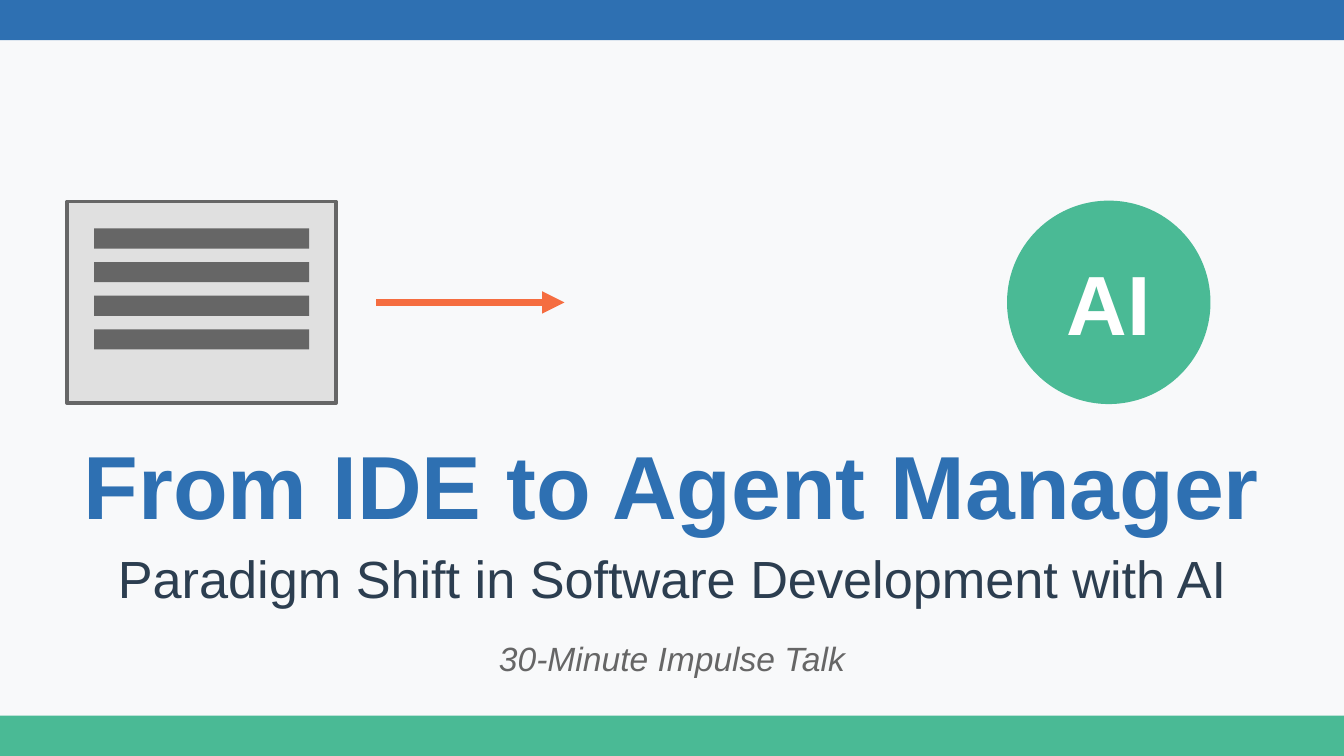
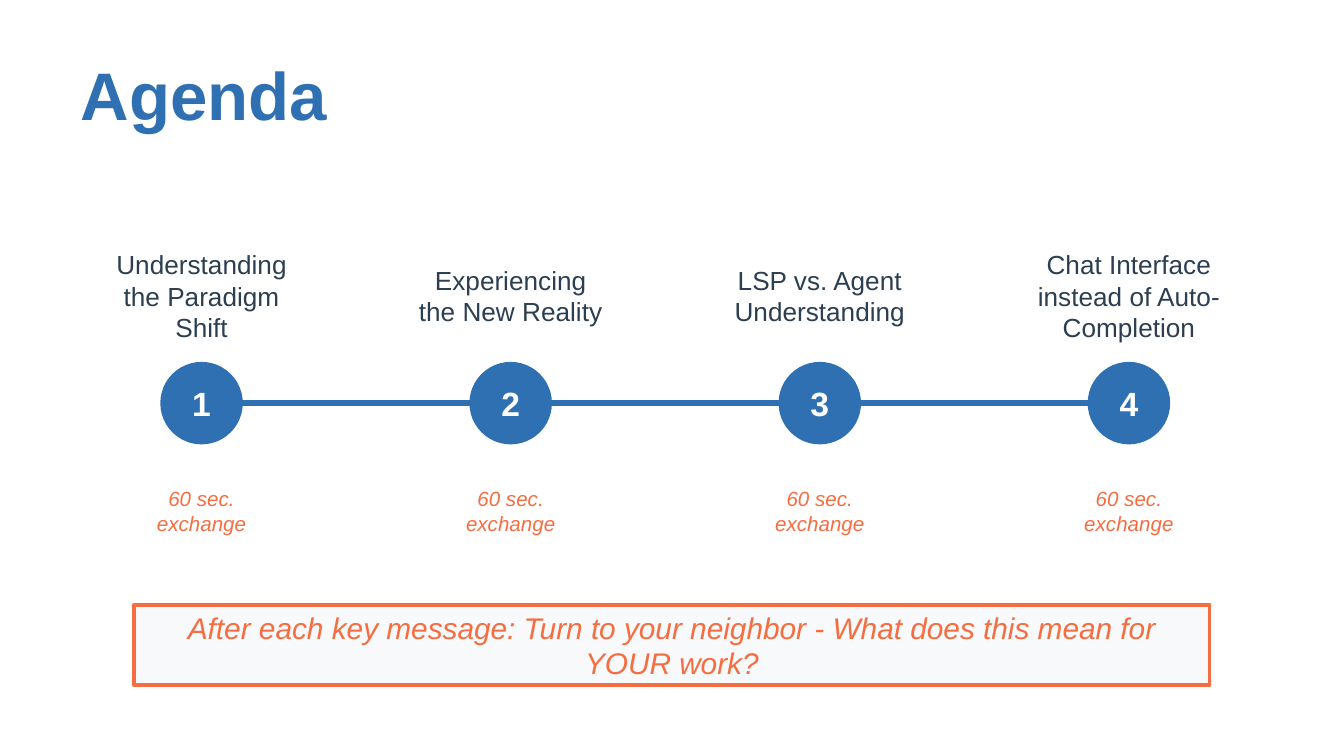
from lxml import etree
from pptx import Presentation
from pptx.dml.color import RGBColor
from pptx.enum.shapes import MSO_CONNECTOR, MSO_SHAPE
from pptx.enum.text import MSO_ANCHOR, MSO_AUTO_SIZE, PP_ALIGN
from pptx.oxml.ns import qn
from pptx.util import Inches, Pt

RECT, OVAL, STRAIGHT = MSO_SHAPE.RECTANGLE, MSO_SHAPE.OVAL, MSO_CONNECTOR.STRAIGHT
LEFT, CENTER, MIDDLE = PP_ALIGN.LEFT, PP_ALIGN.CENTER, MSO_ANCHOR.MIDDLE
NO_FIT = MSO_AUTO_SIZE.NONE

BLUE = RGBColor(0x2E, 0x70, 0xB2)
GREEN = RGBColor(0x4A, 0xBA, 0x95)
ORANGE = RGBColor(0xF5, 0x6D, 0x40)
NAVY = RGBColor(0x2C, 0x3E, 0x50)
GRAY = RGBColor(0x66, 0x66, 0x66)
SILVER = RGBColor(0xE0, 0xE0, 0xE0)
PALE = RGBColor(0xF8, 0xF9, 0xFA)
WHITE = RGBColor(0xFF, 0xFF, 0xFF)

FONT = "Arial"
WIDTH = 10
HEIGHT = WIDTH * 9 / 16
BAND = 0.3


def add_block(slide, kind, box, fill, line=None, line_width=1):
    block = slide.shapes.add_shape(kind, *map(Inches, box))
    block.shadow.inherit = False
    block.fill.solid()
    block.fill.fore_color.rgb = fill
    if line is None:
        block.line.fill.background()
    else:
        block.line.color.rgb = line
        block.line.width = Pt(line_width)
    return block


def write(holder, text, size, color, bold=False, italic=False, align=CENTER):
    frame = holder.text_frame
    frame.text = text
    frame.word_wrap = True
    frame.auto_size = NO_FIT
    frame.vertical_anchor = MIDDLE
    for paragraph in frame.paragraphs:
        paragraph.alignment = align
        for run in paragraph.runs:
            run.font.name = FONT
            run.font.size = Pt(size)
            run.font.color.rgb = color
            run.font.bold = bold
            run.font.italic = italic


deck = Presentation()
deck.slide_width = Inches(WIDTH)
deck.slide_height = Inches(HEIGHT)
title_only = deck.slide_layouts[5]
opening = deck.slides.add_slide(title_only)
agenda = deck.slides.add_slide(title_only)

for slide, background, text, top, size, align in (
    (opening, PALE, "From IDE to Agent Manager", 3.2, 48, CENTER),
    (agenda, WHITE, "Agenda", 0.3, 36, LEFT),
):
    slide.background.fill.solid()
    slide.background.fill.fore_color.rgb = background
    title = slide.shapes.title
    title.left, title.top = Inches(0.5), Inches(top)
    title.width, title.height = Inches(9), Inches(0.8)
    write(title, text, size, BLUE, bold=True, align=align)

for slide, start, end, y, color, weight, has_arrow in (
    (opening, 2.8, 4.2, 2.25, ORANGE, 4, True),
    (agenda, 1.5, 8.5, 3, BLUE, 3, False),
):
    path_line = slide.shapes.add_connector(
        STRAIGHT, Inches(start), Inches(y), Inches(end), Inches(y))
    path_line.line.color.rgb = color
    path_line.line.width = Pt(weight)
    if has_arrow:
        etree.SubElement(path_line.line._get_or_add_ln(), qn("a:tailEnd"), type="triangle")
    etree.SubElement(path_line._element.spPr, qn("a:effectLst"))

add_block(opening, RECT, (0, 0, WIDTH, BAND), BLUE)
add_block(opening, RECT, (0, HEIGHT - BAND, WIDTH, BAND), GREEN)

add_block(opening, RECT, (0.5, 1.5, 2, 1.5), SILVER, GRAY, 2)
for row in range(4):
    add_block(opening, RECT, (0.7, 1.7 + 0.25 * row, 1.6, 0.15), GRAY)

agent = add_block(opening, OVAL, (7.5, 1.5, 1.5, 1.5), GREEN, GREEN)
write(agent, "AI", 45, WHITE, bold=True)

for text, top, height, size, color, italic in (
    ("Paradigm Shift in Software Development with AI", 4, 0.6, 28, NAVY, False),
    ("30-Minute Impulse Talk", 4.7, 0.4, 18, GRAY, True),
):
    subtitle = opening.shapes.add_textbox(
        Inches(0.5), Inches(top), Inches(9), Inches(height))
    write(subtitle, text, size, color, italic=italic)

topics = (
    "Understanding the Paradigm Shift",
    "Experiencing the New Reality",
    "LSP vs. Agent Understanding",
    "Chat Interface instead of Auto-Completion",
)
for index, topic in enumerate(topics):
    center = 1.5 + 2.3 * index
    step = add_block(agenda, OVAL, (center - 0.3, 2.7, 0.6, 0.6), BLUE, BLUE)
    write(step, str(index + 1), 18, WHITE, bold=True)
    topic_label = agenda.shapes.add_textbox(
        Inches(center - 0.8), Inches(1.8), Inches(1.6), Inches(0.8))
    write(topic_label, topic, 14, NAVY)
    exchange = agenda.shapes.add_textbox(
        Inches(center - 0.5), Inches(3.5), Inches(1), Inches(0.6))
    write(exchange, "60 sec.\nexchange", 11, ORANGE, italic=True)

prompt = add_block(agenda, RECT, (1, 4.5, 8, 0.6), PALE, ORANGE, 2)
write(prompt, "After each key message: Turn to your neighbor - What does this mean for YOUR work?",
      16, ORANGE, italic=True)

deck.save("out.pptx")
